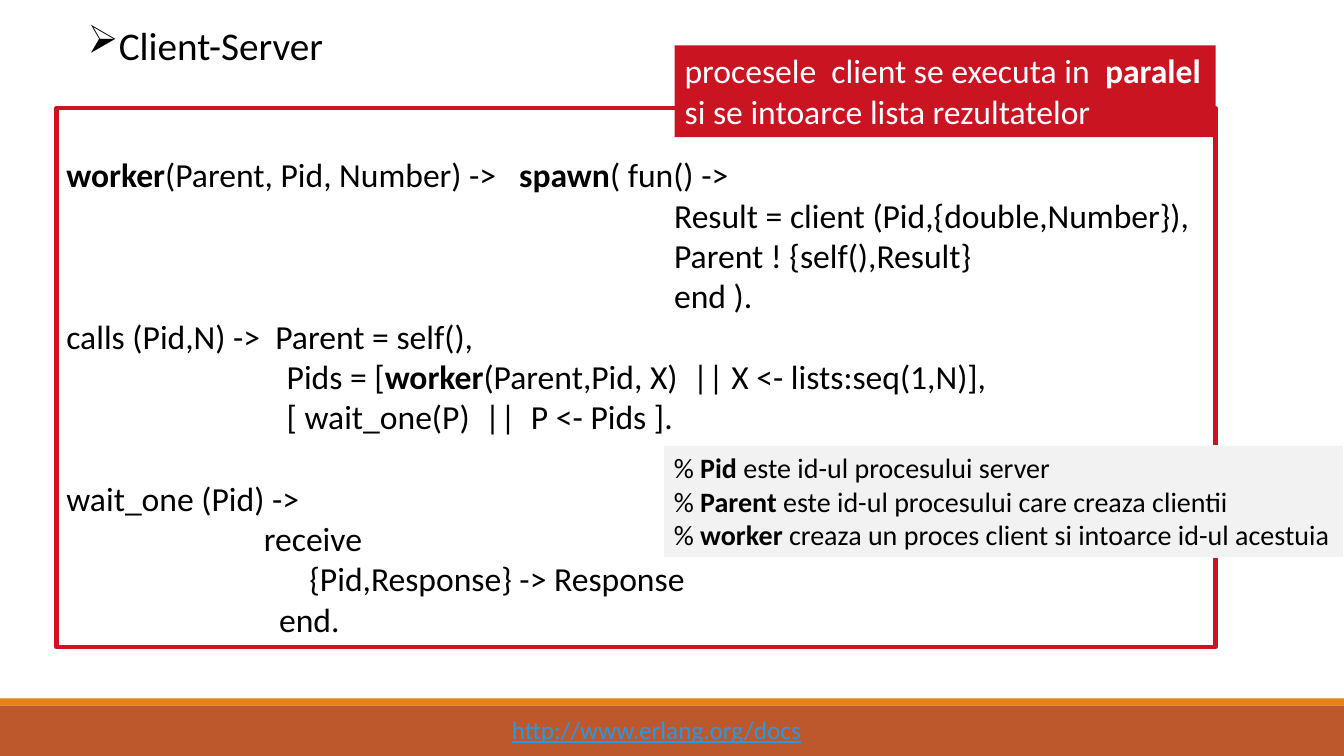
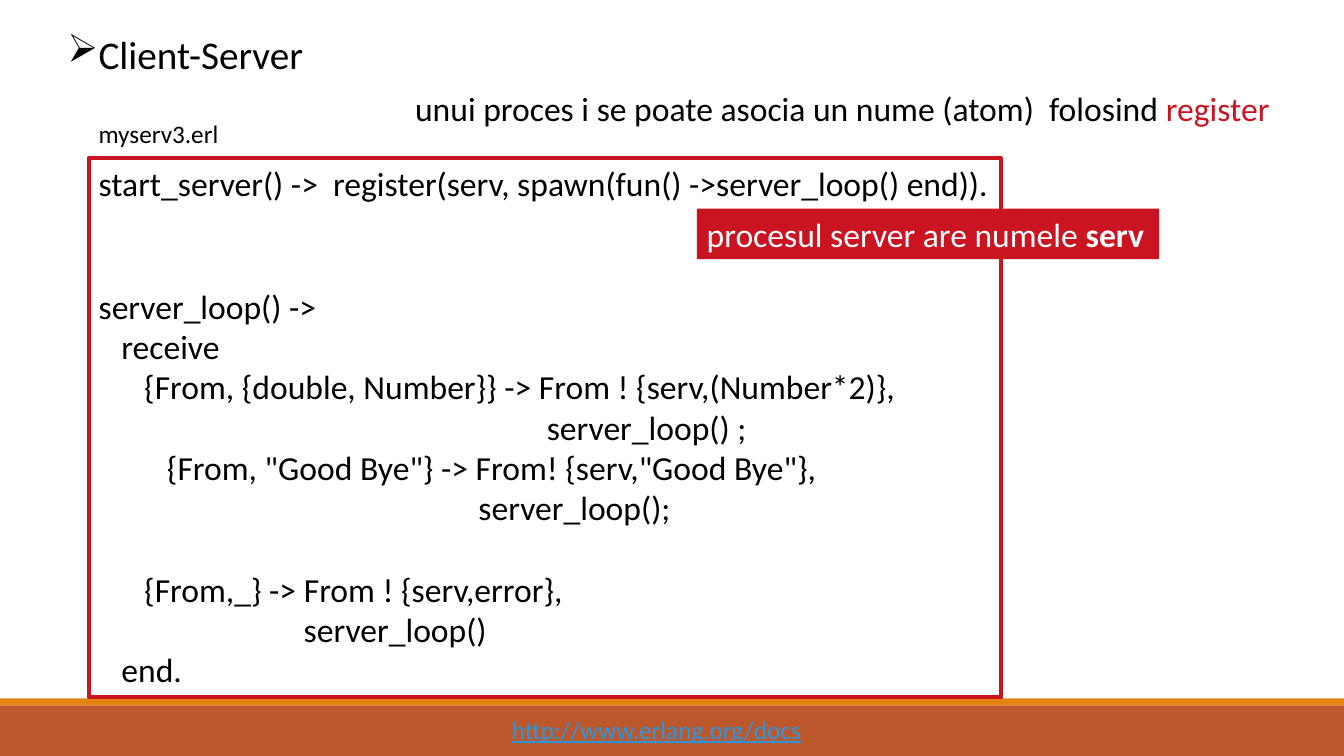
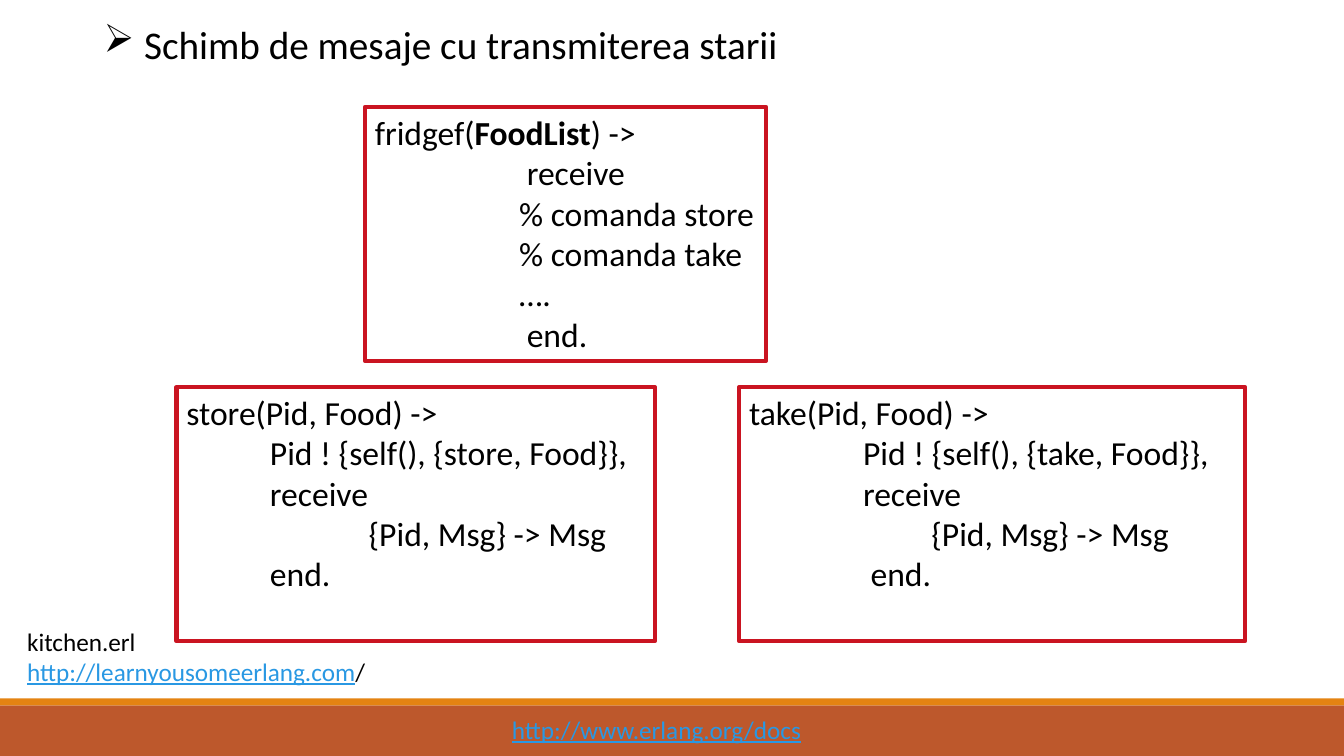
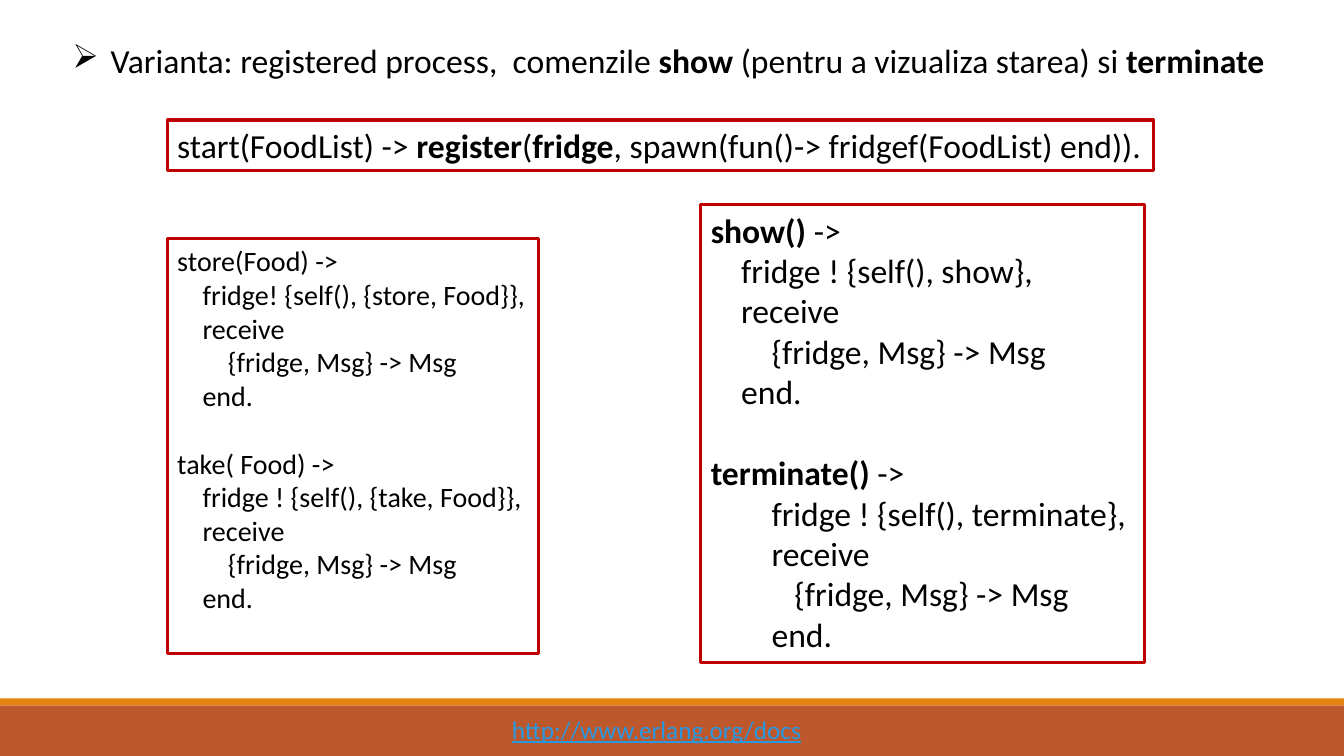
import pptx
import pptx.util
import pptx.dml.color
import pptx.enum.shapes
import pptx.enum.text
from lxml import etree

COLORS = {
    "black": "000000", "white": "FFFFFF", "red": "CA1421", "dark_red": "C00000",
    "grey": "F2F2F2", "link": "2998E3", "band": "BD582C", "stripe": "E48312",
}
FONT = "Calibri"
LINE_HEIGHT = 1.22
BOLD = {"bold": True}
LINK = {"color": "link", "underline": True}

prs = pptx.Presentation()
prs.slide_width = pptx.util.Inches(13.333)
prs.slide_height = pptx.util.Inches(7.5)
COL = prs.slide_width / 100
ROW = prs.slide_height / 100


def rgb(name):
    return pptx.dml.color.RGBColor.from_string(COLORS[name])


def emu(box):
    x, y, w, h = box
    return [int(v) for v in (x * COL, y * ROW, w * COL, h * ROW)]


def rect(s, box, fill=None, line=None, width=3):
    sp = s.shapes.add_shape(pptx.enum.shapes.MSO_SHAPE.RECTANGLE, *emu(box))
    sp.shadow.inherit = False
    if fill:
        sp.fill.solid()
        sp.fill.fore_color.rgb = rgb(fill)
    else:
        sp.fill.background()
    if line:
        sp.line.color.rgb = rgb(line)
        sp.line.width = pptx.util.Pt(width)
    else:
        sp.line.fill.background()
    return sp


def textbox(s, box):
    return s.shapes.add_textbox(*emu(box))


def add_bullet(p, hang):
    pPr = p._p.get_or_add_pPr()
    pPr.set("marL", str(pptx.util.Inches(hang)))
    pPr.set("indent", str(-pptx.util.Inches(hang)))
    etree.SubElement(pPr, pptx.oxml.ns.qn("a:buChar")).set("char", "➢")


def write(sp, text, size=24, color="black", mark=BOLD, hang=None, top=0.05):
    """Parts between double asterisks take the format in mark; empty lines become spacing."""
    tf = sp.text_frame
    tf.word_wrap = True
    tf.vertical_anchor = pptx.enum.text.MSO_ANCHOR.TOP
    tf.margin_top = pptx.util.Inches(top)
    tf.margin_right = 0
    p, gap = None, 0
    for line in text.split("\n"):
        if not line:
            gap += 1
            continue
        p = tf.add_paragraph() if p else tf.paragraphs[0]
        p.alignment = pptx.enum.text.PP_ALIGN.LEFT
        if gap:
            p.space_before = pptx.util.Pt(round(gap * size * LINE_HEIGHT, 1))
            gap = 0
        if hang:
            add_bullet(p, hang)
        for i, part in enumerate(line.split("**")):
            if not part:
                continue
            style = mark if i % 2 else {}
            r = p.add_run()
            r.text = part
            r.font.name = FONT
            r.font.size = pptx.util.Pt(size)
            r.font.bold = style.get("bold", False)
            r.font.underline = style.get("underline", False)
            r.font.color.rgb = rgb(style.get("color", color))


def footer(s, box):
    x, y, w, h = box
    stripe = h * 0.12
    rect(s, (x, y + stripe, w, h - stripe), fill="band")
    rect(s, (x, y, w, stripe), fill="stripe")
    write(textbox(s, (x + w * 0.3735, y + h * 0.19, w * 0.24, h * 0.7)),
          "**http://www.erlang.org/docs**", size=18, mark=LINK)


def new_slide():
    s = prs.slides.add_slide(prs.slide_layouts[6])
    footer(s, (0, 92.4, 100, 7.6))
    return s


def heading(s, box, text, size=28, hang=0.31):
    write(textbox(s, box), text, size=size, hang=hang)


def code(s, box, lines, line="red", width=3, fill=None, **fmt):
    sp = rect(s, box, fill=fill, line=line, width=width)
    write(sp, "\n".join(" " * indent + text for indent, text in lines), **fmt)


def callout(s, box, text):
    write(rect(s, box, fill="red"), text, color="white")


def workers_slide():
    s = new_slide()
    code(s, (4.2, 14.27, 86.25, 71.33), [
        (0, "**worker**(Parent, Pid, Number) ->   **spawn**( fun() ->"),
        (80, "Result = client (Pid,{double,Number}),"),
        (80, "Parent ! {self(),Result}"),
        (80, "end )."),
        (0, "calls (Pid,N) ->  Parent = self(),"),
        (29, "Pids = [**worker**(Parent,Pid, X)  || X <- lists:seq(1,N)],"),
        (29, "[ wait_one(P)  ||  P <- Pids ]."),
        (0, ""),
        (0, "wait_one (Pid) ->"),
        (26, "receive"),
        (32, "{Pid,Response} -> Response"),
        (28, "end."),
    ], top=0.46)
    callout(s, (50.2, 6, 40.25, 12.15),
            "procesele  client se executa in  **paralel**\nsi se intoarce lista rezultatelor")
    heading(s, (5.78, 2.13, 19.35, 7.6), "Client-Server")
    write(rect(s, (49.4, 58.93, 50.6, 14.8), fill="grey", line="white", width=0.75),
          "% **Pid** este id-ul procesului server\n"
          "% **Parent** este id-ul procesului care creaza clientii\n"
          "% **worker** creaza un proces client si intoarce id-ul acestuia", size=20)


def register_slide():
    s = new_slide()
    code(s, (6.6, 20.93, 67.9, 71.33), [
        (0, "start_server() ->  register(serv, spawn(fun() ->server_loop() end))."),
        (0, ""),
        (0, ""),
        (0, "server_loop() ->"),
        (3, "receive"),
        (6, "{From, {double, Number}} -> From ! {serv,(Number*2)},"),
        (59, "server_loop() ;"),
        (9, '{From, "Good Bye"} -> From! {serv,"Good Bye"},'),
        (50, "server_loop();"),
        (0, ""),
        (6, "{From,_} -> From ! {serv,error},"),
        (27, "server_loop()"),
        (3, "end."),
    ])
    heading(s, (4.28, 3.33, 19.35, 7.6), "Client-Server")
    write(textbox(s, (30.15, 10.93, 65.6, 6.67)),
          "unui proces i se poate asocia un nume (atom)  folosind **register**",
          mark={"color": "red"})
    callout(s, (51.85, 27.6, 34.4, 6.7), "procesul server are numele **serv**")
    write(textbox(s, (6.6, 14.93, 10.5, 5.33)), "myserv3.erl", size=18)


def state_slide():
    s = new_slide()
    for x, w, command, indent, end in ((13.13, 35.6, "store", 11, 11),
                                       (55, 37.65, "take", 15, 16)):
        code(s, (x, 51.2, w, 33.6), [
            (0, f"{command}(Pid, Food) ->"),
            (indent, f"Pid ! {{self(), {{{command}, Food}}}},"),
            (indent, "receive"),
            (24, "{Pid, Msg} -> Msg"),
            (end, "end."),
        ])
    heading(s, (6.98, 2, 52.2, 7.6), "Schimb de mesaje cu transmiterea starii", hang=0.4)
    write(textbox(s, (1.28, 82.13, 50, 9.47)),
          "kitchen.erl\n**http://learnyousomeerlang.com**/", size=18, mark=LINK)
    code(s, (27.15, 14.13, 29.85, 33.6), [
        (0, "fridgef(**FoodList**) ->"),
        (20, "receive"),
        (19, "% comanda store"),
        (19, "% comanda take"),
        (19, "…."),
        (20, "end."),
    ])


def fridge_call(head, request, indent=4, inner=8):
    return [(0, head), (indent, request), (indent, "receive"),
            (inner, "{fridge, Msg} -> Msg"), (indent, "end.")]


def commands_slide():
    s = new_slide()
    frame = {"line": "dark_red", "width": 2.25, "fill": "white"}
    gap = [(0, "")]
    code(s, (12.45, 31.6, 27.6, 54.8),
         fridge_call("store(Food) ->", "fridge! {self(), {store, Food}},") + gap
         + fridge_call("take( Food) ->", "fridge ! {self(), {take, Food}},"),
         size=20, **frame)
    code(s, (52.15, 27.07, 33, 60.53),
         fridge_call("**show()** ->", "fridge ! {self(), show},") + gap
         + fridge_call("**terminate()** ->", "fridge ! {self(), terminate},", 8, 11),
         **frame)
    heading(s, (4.65, 4.67, 91.6, 6.67),
            "Varianta: registered process,  comenzile **show** (pentru a vizualiza starea) "
            "si **terminate**", size=24, hang=0.38)
    code(s, (12.45, 15.87, 73.4, 6.67), [
        (0, "start(FoodList) -> **register**(**fridge**, spawn(fun()-> fridgef(FoodList) end))."),
    ], **frame)


def main():
    workers_slide()
    register_slide()
    state_slide()
    commands_slide()
    prs.save("out.pptx")


if __name__ == "__main__":
    main()
